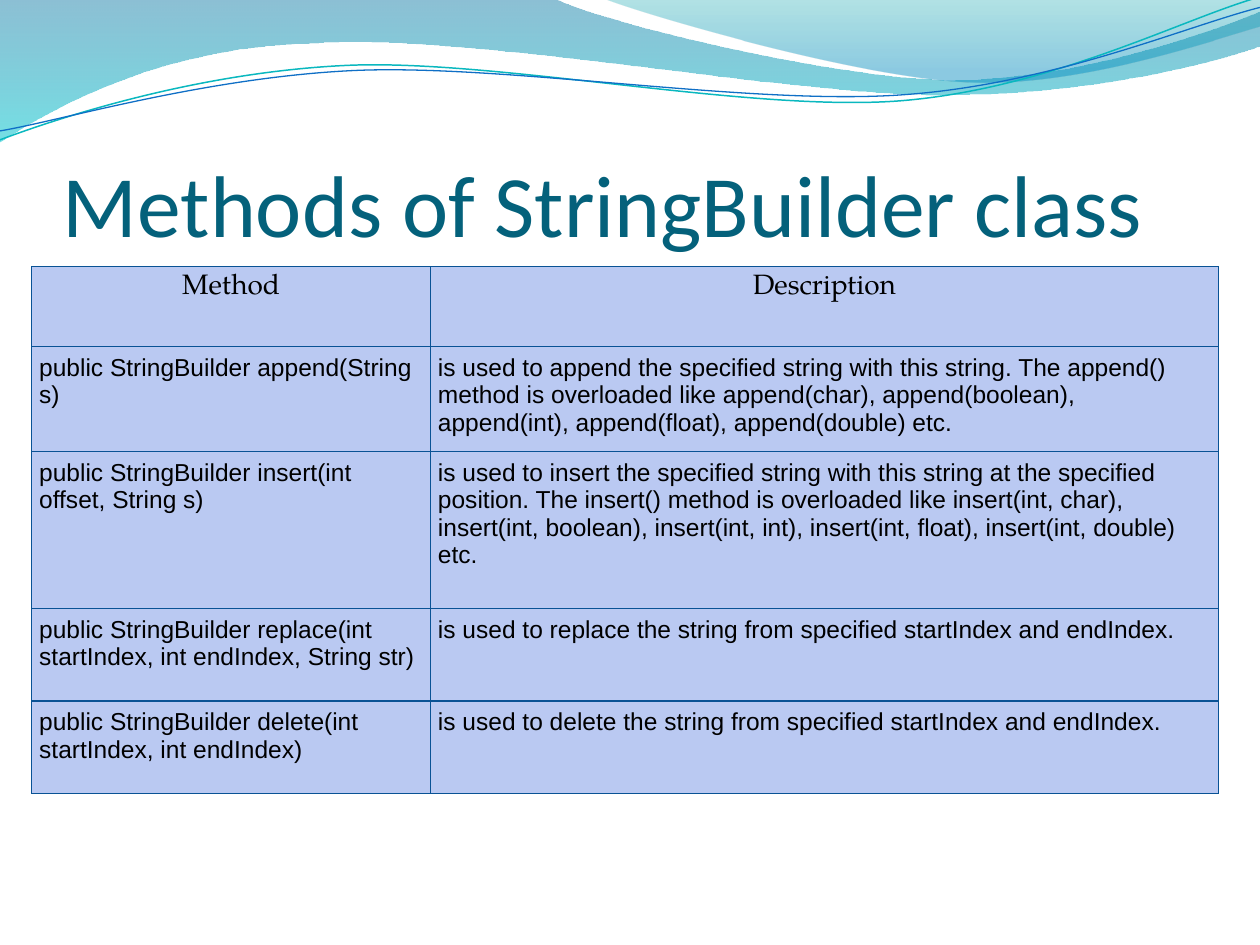
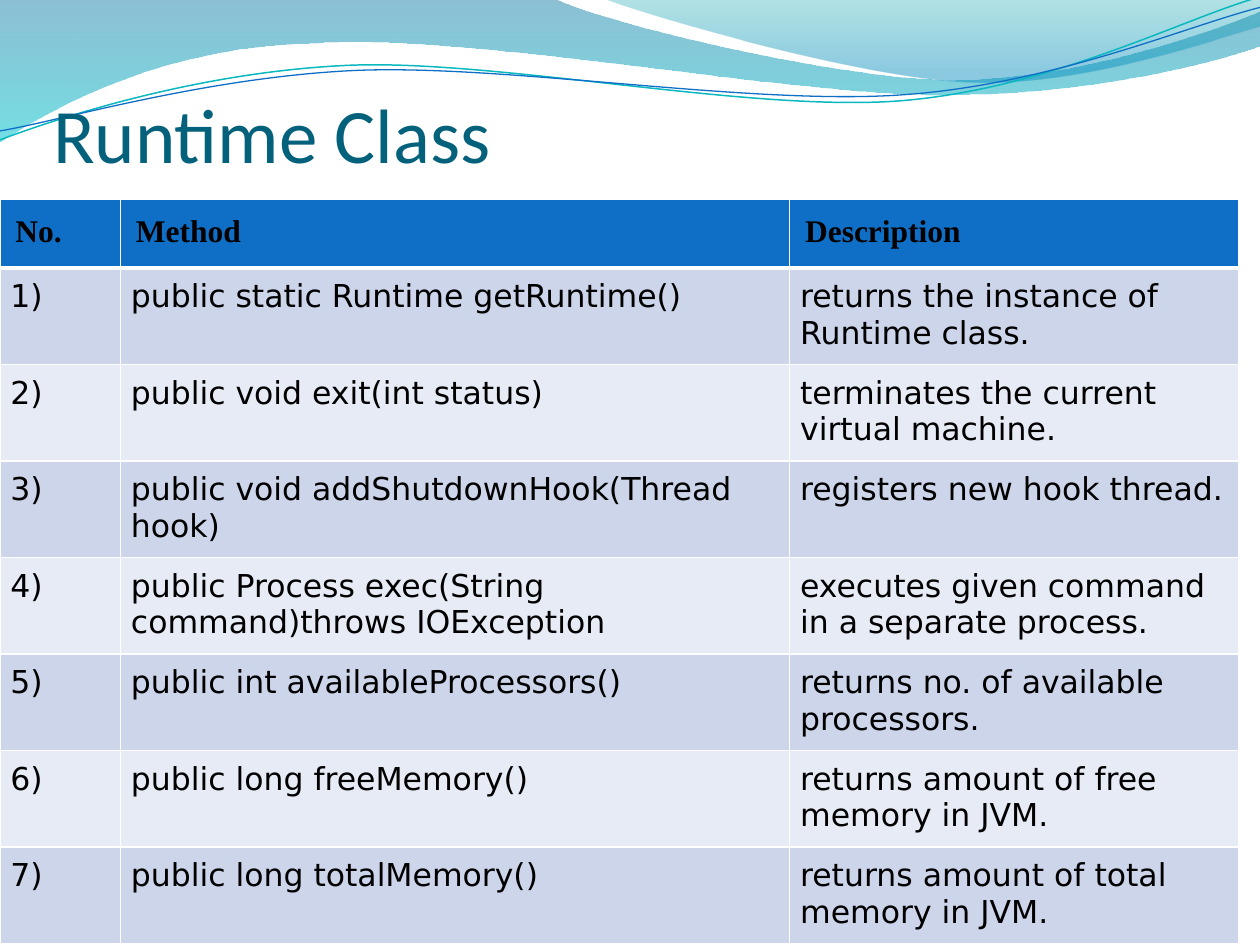
from lxml import etree
from pptx import Presentation
from pptx.dml.color import RGBColor
from pptx.enum.text import MSO_ANCHOR, PP_ALIGN
from pptx.oxml.ns import qn
from pptx.util import Cm, Pt

LEFT = PP_ALIGN.LEFT
CENTER = PP_ALIGN.CENTER
BOTTOM = MSO_ANCHOR.BOTTOM
BLACK = RGBColor(0x00, 0x00, 0x00)
WHITE = RGBColor(0xFF, 0xFF, 0xFF)
TEAL = RGBColor(0x04, 0x61, 0x7B)
NAVY = RGBColor(0x09, 0x52, 0x95)
BLUE = RGBColor(0x0F, 0x6F, 0xC6)
AQUA = RGBColor(0x0A, 0xB8, 0xBF)
LILAC = RGBColor(0xBA, 0xC9, 0xF2)
MIST = RGBColor(0xCC, 0xD5, 0xEA)
PALE = RGBColor(0xE7, 0xEB, 0xF5)
DEEP = RGBColor(0x00, 0x74, 0xA1)
CYAN = RGBColor(0x00, 0xC6, 0xCF)
GREEN = RGBColor(0x00, 0xA1, 0xA9)
SKY = RGBColor(0x00, 0x8B, 0xBF)


def write(frame, text, size=14, font="Arial", color=BLACK, bold=False, align=LEFT):
    frame.word_wrap = True
    para = frame.paragraphs[0]
    para.alignment = align
    run = para.add_run()
    run.text = text
    run.font.size = Pt(size)
    run.font.name = font
    run.font.bold = bold
    run.font.color.rgb = color


WAVES = [
    dict(start=(0, 0), stops=[(0, DEEP, 45), (1, CYAN, 55)], parts=[
        (11.18, -0.03),
        (12.09, 0.43, 16.87, 1.6, 19.25, 1.6),
        (21.67, 1.6, 24.33, 0.66, 25.4, 0.23),
        (25.43, 0.91),
        (24.97, 1.12, 22.1, 1.93, 18.95, 1.91),
        (15.8, 1.91, 9.7, 0.71, 6.53, 0.86),
        (3.28, 0.91, 1.17, 2.11, -0.03, 2.87),
        (0, 0)]),
    dict(start=(12.17, -0.03), stops=[(0, GREEN, 30), (0.8, SKY, 45)], parts=[
        (12.93, 0.28, 17.32, 1.57, 19.53, 1.65),
        (21.74, 1.75, 24.41, 0.81, 25.4, 0.53),
        (25.4, 0),
        (12.17, -0.03)]),
    dict(start=(-0.05, 2.22), line=(AQUA, 0.85), parts=[
        (1.19, 1.82, 4.02, 1.04, 7.05, 1.05),
        (10.05, 1.07, 15.02, 2.37, 18.08, 2.29),
        (21.13, 2.2, 23.87, 0.91, 25.41, 0.55)]),
    dict(start=(-0.04, 2.04), line=(BLUE, 0.75), parts=[
        (1.16, 1.9, 4.18, 1.15, 7.2, 1.16),
        (10.25, 1.18, 15.13, 2.25, 18.18, 2.17),
        (21.21, 2.1, 23.93, 1.06, 25.45, 0.75)]),
]

PAGES = [
    dict(
        title="Methods of StringBuilder class", size=50, spot=(1.27, 1.96),
        at=(0.64, 5.38), tall=10.64,
        cols=[8.04, 15.88], rows=[1.61, 2.11, 3.17, 1.86, 1.86],
        head=dict(size=16, font="TeX Gyre Pagella", align=CENTER),
        body=dict(size=14, font="Arial"),
        pads=(0.15, 0.15), fills=(LILAC, LILAC, LILAC),
        edge=NAVY, thin=0.75, rule=0.75,
        cells=[
            ("Method", "Description"),
            ("public StringBuilder append(String s)",
             "is used to append the specified string with this string. The append() "
             "method is overloaded like append(char), append(boolean), append(int), "
             "append(float), append(double) etc."),
            ("public StringBuilder insert(int offset, String s)",
             "is used to insert the specified string with this string at the specified "
             "position. The insert() method is overloaded like insert(int, char), "
             "insert(int, boolean), insert(int, int), insert(int, float), "
             "insert(int, double) etc."),
            ("public StringBuilder replace(int startIndex, int endIndex, String str)",
             "is used to replace the string from specified startIndex and endIndex."),
            ("public StringBuilder delete(int startIndex, int endIndex)",
             "is used to delete the string from specified startIndex and endIndex."),
        ]),
    dict(
        title="Runtime Class", size=44, spot=(1.07, 0.43),
        at=(0, 4.02), tall=15.04,
        cols=[2.43, 13.49, 9.06], rows=[1.04] * 8,
        head=dict(size=18, font="Times New Roman", bold=True),
        body=dict(size=18, font="DejaVu Sans"),
        pads=(0.31, 0.21), fills=(BLUE, MIST, PALE),
        edge=WHITE, thin=1, rule=3,
        cells=[
            ("No.", "Method", "Description"),
            ("1)", "public static Runtime getRuntime()",
             "returns the instance of Runtime class."),
            ("2)", "public void exit(int status)",
             "terminates the current virtual machine."),
            ("3)", "public void addShutdownHook(Thread hook)",
             "registers new hook thread."),
            ("4)", "public Process exec(String command)throws IOException",
             "executes given command in a separate process."),
            ("5)", "public int availableProcessors()",
             "returns no. of available processors."),
            ("6)", "public long freeMemory()",
             "returns amount of free memory in JVM."),
            ("7)", "public long totalMemory()",
             "returns amount of total memory in JVM."),
        ]),
]

deck = Presentation()
deck.slide_width = Cm(25.4)
deck.slide_height = Cm(19.05)
blank = deck.slide_layouts[6]
for holder in list(blank.placeholders):
    blank.shapes.element.remove(holder.element)
slides = [deck.slides.add_slide(blank) for page in PAGES]

for wave in WAVES:
    x, y = wave["start"]
    pen = slides[0].shapes.build_freeform(Cm(x), Cm(y))
    points = [(Cm(px), Cm(py)) for part in wave["parts"]
              for px, py in zip(part[::2], part[1::2])]
    pen.add_line_segments(points, close="stops" in wave)
    shape = pen.convert_to_shape()
    nodes = shape.element.iter(qn("a:lnTo"))
    nodes = iter(list(nodes))
    for part in wave["parts"]:
        first = next(nodes)
        if len(part) == 6:
            curve = etree.Element(qn("a:cubicBezTo"))
            first.addprevious(curve)
            for node in (first, next(nodes), next(nodes)):
                curve.append(node[0])
                node.getparent().remove(node)
    shape.shadow.inherit = False
    if "stops" in wave:
        shape.line.fill.background()
        shape.fill.gradient()
        shape.fill.gradient_angle = 270
        for stop, (place, color, share) in zip(shape.fill.gradient_stops, wave["stops"]):
            stop.position = place
            stop.color.rgb = color
        for node, (place, color, share) in zip(
                shape.element.iter(qn("a:srgbClr")), wave["stops"]):
            etree.SubElement(node, qn("a:alpha"), val=str(share * 1000))
    else:
        shape.rotation = 357.3
        shape.fill.background()
        shape.line.color.rgb = wave["line"][0]
        shape.line.width = Pt(wave["line"][1])
    blank.shapes.element.append(shape.element)

for slide, page in zip(slides, PAGES):
    left, top = page["spot"]
    box = slide.shapes.add_textbox(Cm(left), Cm(top), Cm(22.86), Cm(3.18))
    frame = box.text_frame
    frame.vertical_anchor = BOTTOM
    frame.margin_left = frame.margin_right = frame.margin_bottom = 0
    frame.margin_top = Cm(0.13)
    write(frame, page["title"], size=page["size"], font="Calibri", color=TEAL)

    left, top = page["at"]
    cols, rows = page["cols"], page["rows"]
    holder = slide.shapes.add_table(len(rows), len(cols), Cm(left), Cm(top),
                                    Cm(sum(cols)), Cm(sum(rows)))
    grid = holder.table
    grid.first_row = grid.horz_banding = False
    for col, width in zip(grid.columns, cols):
        col.width = Cm(width)
    for r, texts in enumerate(page["cells"]):
        grid.rows[r].height = Cm(rows[r])
        for c, text in enumerate(texts):
            cell = grid.cell(r, c)
            pad = Cm(page["pads"][min(r, 1)])
            cell.margin_left = cell.margin_right = pad
            cell.margin_top = cell.margin_bottom = pad
            for side in "LRTB":
                heavy = (r, side) in ((0, "B"), (1, "T"))
                width = Pt(page["rule"] if heavy else page["thin"])
                line = etree.SubElement(cell._tc.get_or_add_tcPr(),
                                        qn("a:ln" + side), w=str(width))
                paint = etree.SubElement(line, qn("a:solidFill"))
                etree.SubElement(paint, qn("a:srgbClr"), val=str(page["edge"]))
            cell.fill.solid()
            cell.fill.fore_color.rgb = page["fills"][0 if r == 0 else 2 - r % 2]
            write(cell.text_frame, text, **page["body" if r else "head"])
    holder.height = Cm(page["tall"])

deck.save("out.pptx")
